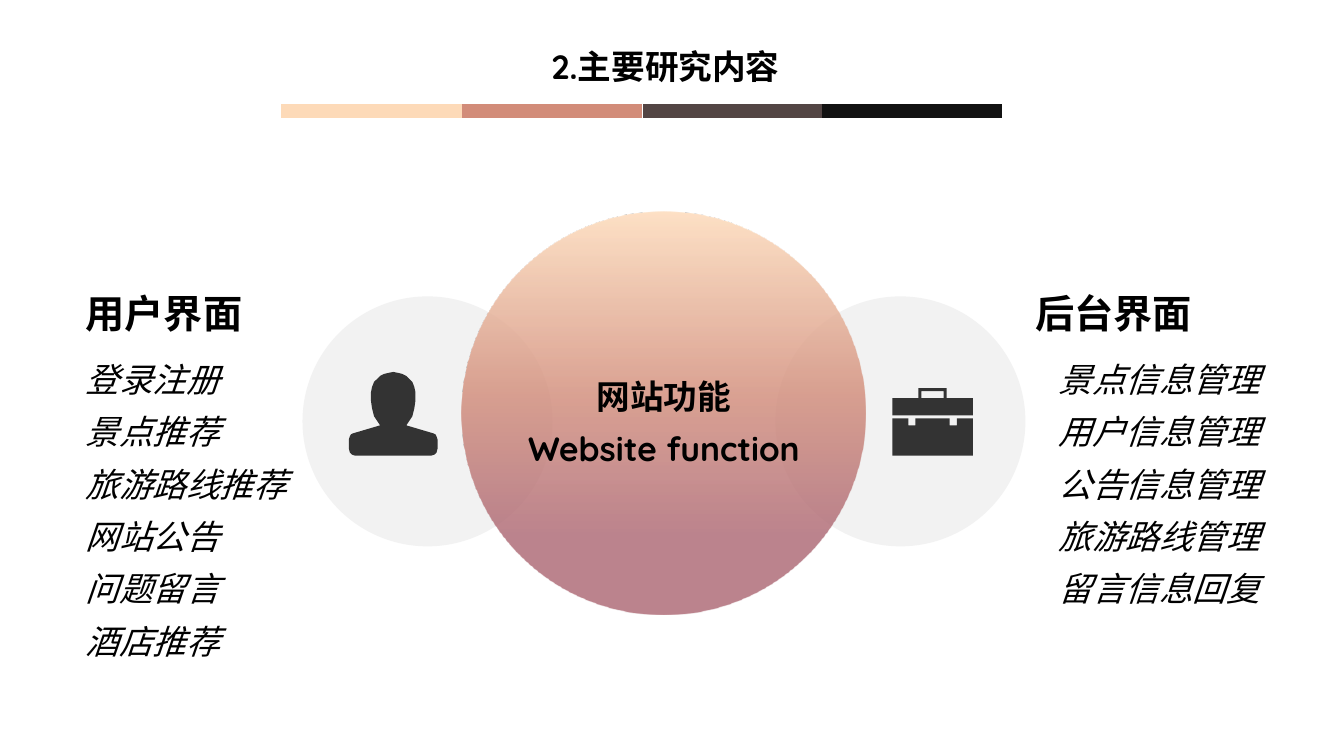
from lxml import etree
from pptx import Presentation
from pptx import util as u
from pptx.dml.color import RGBColor
from pptx.enum import shapes, text
from pptx.oxml.ns import qn

COLORS = {"cream": "FDDAB8", "rose": "D28C79", "brown": "534544", "black": "121212",
          "plum": "AC6672", "pale": "F2F2F2", "icon": "333333", "text": "000000"}
HEAD, BODY = "Quicksand", "Noto Sans CJK SC"


def rgb(name):
    return RGBColor.from_string(COLORS[name])


def write(sp, lines, size=24, font=HEAD, bold=False, italic=False,
          align=text.PP_ALIGN.CENTER, wrap=True):
    tf = sp.text_frame
    tf.word_wrap = wrap
    tf.auto_size = text.MSO_AUTO_SIZE.SHAPE_TO_FIT_TEXT
    tf.vertical_anchor = text.MSO_ANCHOR.TOP
    for i, line in enumerate(lines):
        p = tf.add_paragraph() if i else tf.paragraphs[0]
        p.alignment, p.line_spacing = align, 1.3
        r = p.add_run()
        r.text = line
        f = r.font
        f.size, f.name, f.bold, f.italic = u.Pt(size), font, bold, italic
        f.color.rgb = rgb("text")
        etree.SubElement(r._r.get_or_add_rPr(), qn("a:ea"), typeface=BODY)


class Deck:
    """Holds the current slide and draws its styled elements."""

    def __init__(self, prs):
        self.s = prs.slides.add_slide(prs.slide_layouts[5])

    def title(self, line, *box):
        sp = self.s.shapes.title
        sp.left, sp.top, sp.width, sp.height = map(u.Inches, box)
        write(sp, [line], bold=True)

    def label(self, lines, *box, **style):
        write(self.s.shapes.add_textbox(*map(u.Inches, box)), lines, **style)

    def paint(self, sp, color):
        sp.shadow.inherit = False
        sp.fill.solid()
        sp.fill.fore_color.rgb = rgb(color)
        sp.line.fill.background()
        return sp

    def circle(self, left, top, size, color="pale"):
        box = map(u.Inches, (left, top, size, size))
        return self.paint(self.s.shapes.add_shape(shapes.MSO_SHAPE.OVAL, *box), color)

    def gradient_circle(self, left, top, size, stops, alpha):
        sp = self.circle(left, top, size)
        sp.fill.gradient()
        sp.fill.gradient_angle = 270
        gs_list = sp._element.spPr.find(qn("a:gradFill")).find(qn("a:gsLst"))
        for gs in list(gs_list):
            gs_list.remove(gs)
        for pos, color in stops:
            gs = etree.SubElement(gs_list, qn("a:gs"), pos=str(pos * 1000))
            clr = etree.SubElement(gs, qn("a:srgbClr"), val=COLORS[color])
            etree.SubElement(clr, qn("a:alpha"), val=str(alpha * 1000))

    def bar(self, left, top, width, color):
        ends = map(u.Inches, (left, top, left + width, top))
        c = self.s.shapes.add_connector(shapes.MSO_CONNECTOR.STRAIGHT, *ends)
        c.line.width = u.Pt(10)
        c.line.color.rgb = rgb(color)
        etree.SubElement(c._element.spPr, qn("a:effectLst"))

    def outline(self, *contours):
        contours = [[(u.Inches(x), u.Inches(y)) for x, y in c] for c in contours]
        fb = self.s.shapes.build_freeform(*contours[0][0])
        for i, points in enumerate(contours):
            if i:
                fb.move_to(*points[0])
            fb.add_line_segments(points[1:], close=True)
        self.paint(fb.convert_to_shape(), "icon")


def mirrored(half, axis):
    return half + [(round(2 * axis - x, 2), y) for x, y in reversed(half)]


def rectangle(left, top, right, bottom):
    return [(left, top), (right, top), (right, bottom), (left, bottom)]


prs = Presentation()
prs.slide_width, prs.slide_height = u.Inches(13.33), u.Inches(7.5)
deck = Deck(prs)
deck.title("2.主要研究内容", 4.16, 0.29, 4.88, 0.62)

for left in (7.69, 3):
    deck.circle(left, 2.94, 2.48)
for left, color in zip((2.79, 4.58, 6.38, 8.15), ("cream", "rose", "brown", "black")):
    deck.bar(left, 1.1, 1.79, color)

deck.gradient_circle(4.58, 2.1, 4, [(0, "cream"), (45, "rose"), (80, "plum"), (100, "plum")], 80)
deck.label(["网站功能", "Website function"], 5.1, 3.56, 2.97, 1.15, bold=True, wrap=False)

person = [(3.9, 3.69), (3.95, 3.7), (3.99, 3.71), (4.03, 3.73), (4.06, 3.76), (4.09, 3.79),
          (4.11, 3.84), (4.12, 3.89), (4.12, 3.98), (4.11, 4.05), (4.09, 4.13), (4.07, 4.16),
          (4.03, 4.22), (4.3, 4.3), (4.32, 4.31), (4.33, 4.33), (4.34, 4.36), (4.34, 4.45),
          (4.33, 4.49), (4.31, 4.51), (4.28, 4.52)]
deck.outline(mirrored(person, 3.9))

lid = [(9.39, 3.85), (9.39, 3.95), (9.65, 3.95), (9.65, 4.12)]
deck.outline(mirrored(lid, 9.25), rectangle(9.14, 3.88, 9.36, 3.95))
case = [(9.42, 4.22), (9.49, 4.22), (9.49, 4.15), (9.65, 4.15), (9.65, 4.52)]
deck.outline(mirrored([(9.42, 4.15)] + case, 9.25))

columns = [
    ("用户界面", 0.75, 0.75, 3.25,
     ["登录注册", "景点推荐", "旅游路线推荐", "网站公告", "问题留言", "酒店推荐"]),
    ("后台界面", 10.17, 10.4, 2.72,
     ["景点信息管理", "用户信息管理", "公告信息管理", "旅游路线管理", "留言信息回复"]),
]
for heading, head_left, list_left, height, items in columns:
    deck.label(items, list_left, 3.39, 2.41, height, font=BODY, italic=True,
               align=text.PP_ALIGN.LEFT)
    deck.label([heading], head_left, 2.68, 1.75, 0.71, size=28, bold=True, wrap=False)

prs.save("out.pptx")
